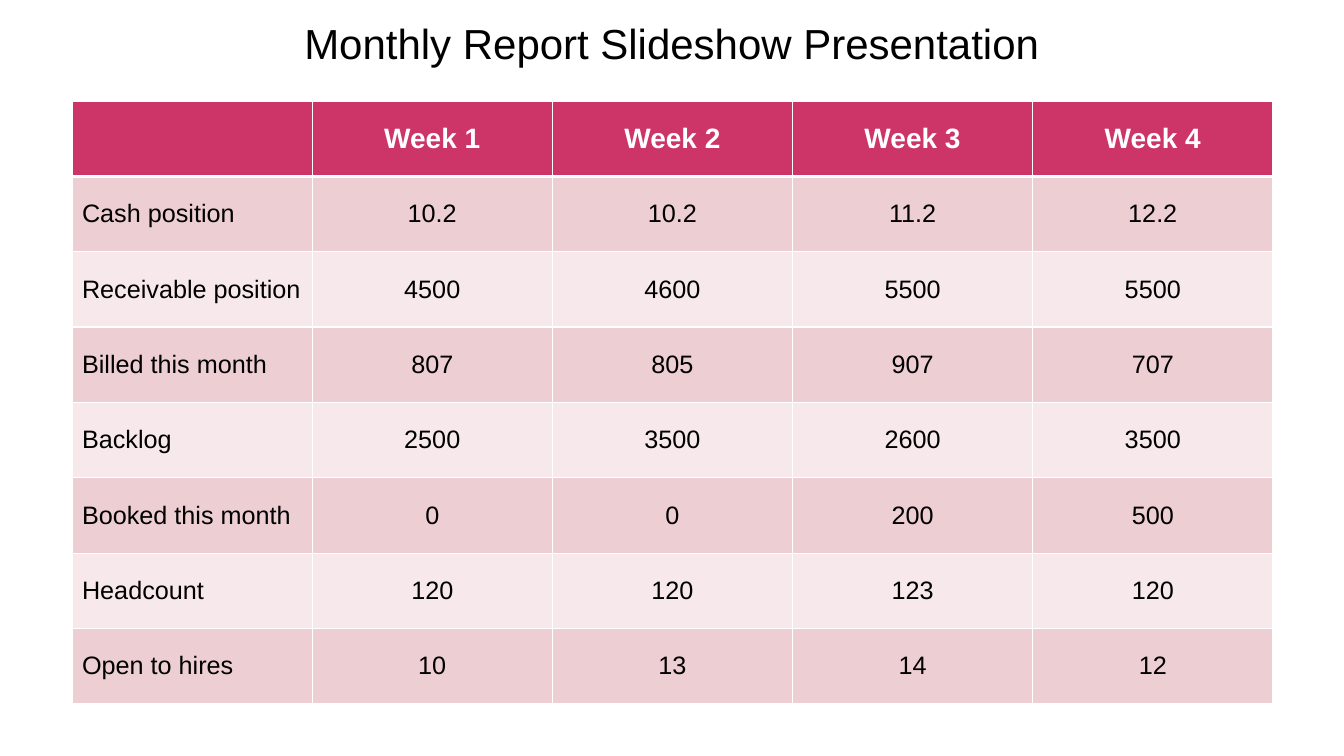
from lxml.etree import SubElement
from pptx import Presentation
from pptx.dml.color import RGBColor
from pptx.enum.text import MSO_ANCHOR as Anchor, PP_ALIGN as Align
from pptx.oxml.ns import qn
from pptx.util import Emu, Pt

PX = 914400 / 100.8  # EMU in one px
PAGE_WIDTH, PAGE_HEIGHT = 1344, 756

WEEKS = ["", "Week 1", "Week 2", "Week 3", "Week 4"]
FIGURES = [
    ["Cash position", "10.2", "10.2", "11.2", "12.2"],
    ["Receivable position", "4500", "4600", "5500", "5500"],
    ["Billed this month", "807", "805", "907", "707"],
    ["Backlog", "2500", "3500", "2600", "3500"],
    ["Booked this month", "0", "0", "200", "500"],
    ["Headcount", "120", "120", "123", "120"],
    ["Open to hires", "10", "13", "14", "12"],
]


def px(length):
    return Emu(round(length * PX))


def color(value):
    return RGBColor.from_string(value)


class ReportPage:
    font = "Arial"
    ink, white = "000000", "FFFFFF"
    header_fill = "CD3467"
    band_fills = ["EDCED3", "F6E8EB"]

    def __init__(self, deck):
        self.page = deck.slides.add_slide(deck.slide_layouts[5])

    def add_text(self, frame, text, size, ink, align, bold=False):
        para = frame.paragraphs[0]
        para.alignment = align
        span = para.add_run()
        span.text = text
        span.font.name = self.font
        span.font.size = Pt(size)
        span.font.bold = bold
        span.font.color.rgb = color(ink)

    def title(self, text, left, top, width, height):
        box = self.page.shapes.title
        box.left, box.top, box.width, box.height = map(px, (left, top, width, height))
        box.text_frame.word_wrap = True
        box.text_frame.vertical_anchor = Anchor.MIDDLE
        self.add_text(box.text_frame, text, 30, self.ink, Align.CENTER)

    def borders(self, cell, top, bottom):
        properties = cell._tc.get_or_add_tcPr()
        for side, points in (("L", 1), ("R", 1), ("T", top), ("B", bottom)):
            line = SubElement(properties, qn(f"a:ln{side}"), w=str(Pt(points)))
            fill = SubElement(line, qn("a:solidFill"))
            SubElement(fill, qn("a:srgbClr"), val=self.white)

    def table(self, rows, left, top, width, height):
        grid = self.page.shapes.add_table(
            len(rows), len(rows[0]), *map(px, (left, top, width, height))).table
        for r, row in enumerate(rows):
            header = r == 0
            for c, text in enumerate(row):
                cell = grid.cell(r, c)
                # Thick rule between the header and the body
                self.borders(cell, 3 if r == 1 else 1, 3 if header else 1)
                cell.fill.solid()
                cell.fill.fore_color.rgb = color(
                    self.header_fill if header else self.band_fills[(r - 1) % 2])
                cell.vertical_anchor = Anchor.MIDDLE
                if text:
                    self.add_text(cell.text_frame, text, 20 if header else 18,
                                  self.white if header else self.ink,
                                  Align.CENTER if c else Align.LEFT, header)


def main():
    deck = Presentation()
    deck.slide_width, deck.slide_height = px(PAGE_WIDTH), px(PAGE_HEIGHT)
    report = ReportPage(deck)

    # Weekly figures
    report.table([WEEKS] + FIGURES, 72, 101, 1201, 603)

    # Heading
    report.title("Monthly Report Slideshow Presentation", 0, 12, PAGE_WIDTH, 62)

    deck.save("out.pptx")


if __name__ == "__main__":
    main()
